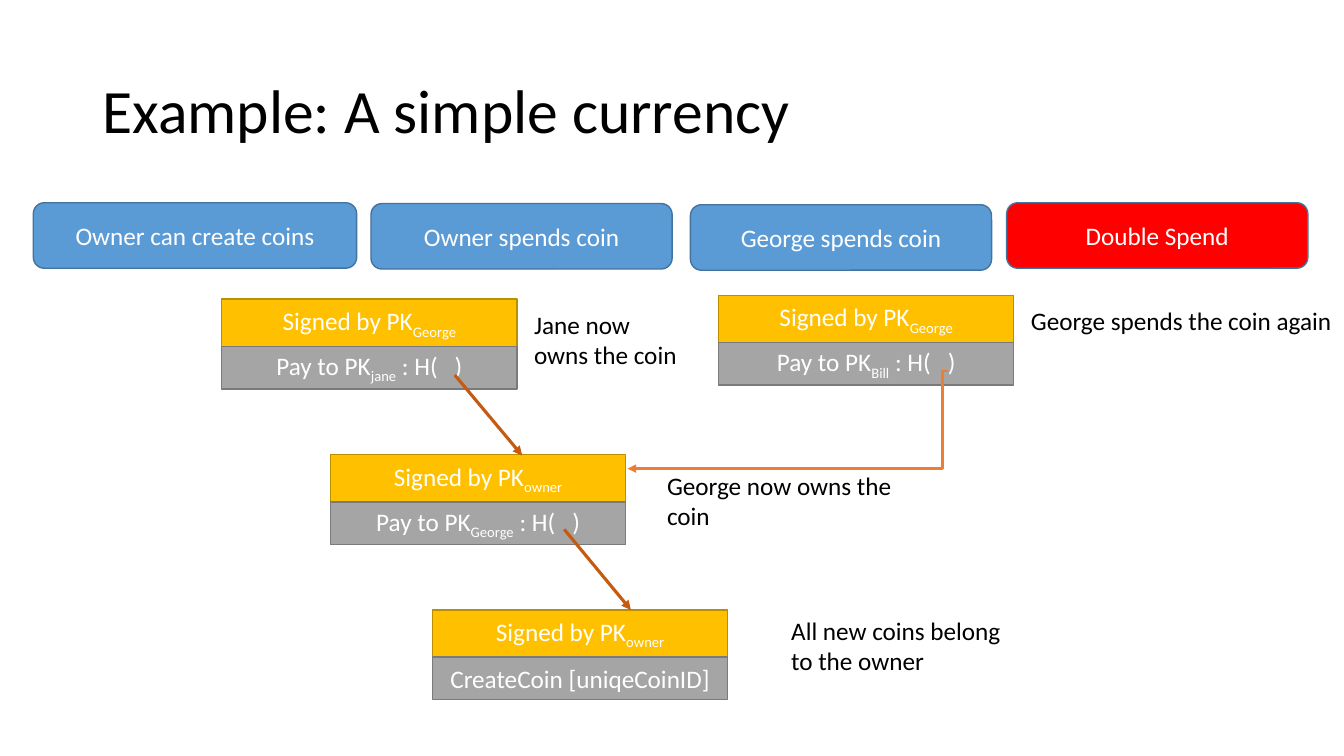
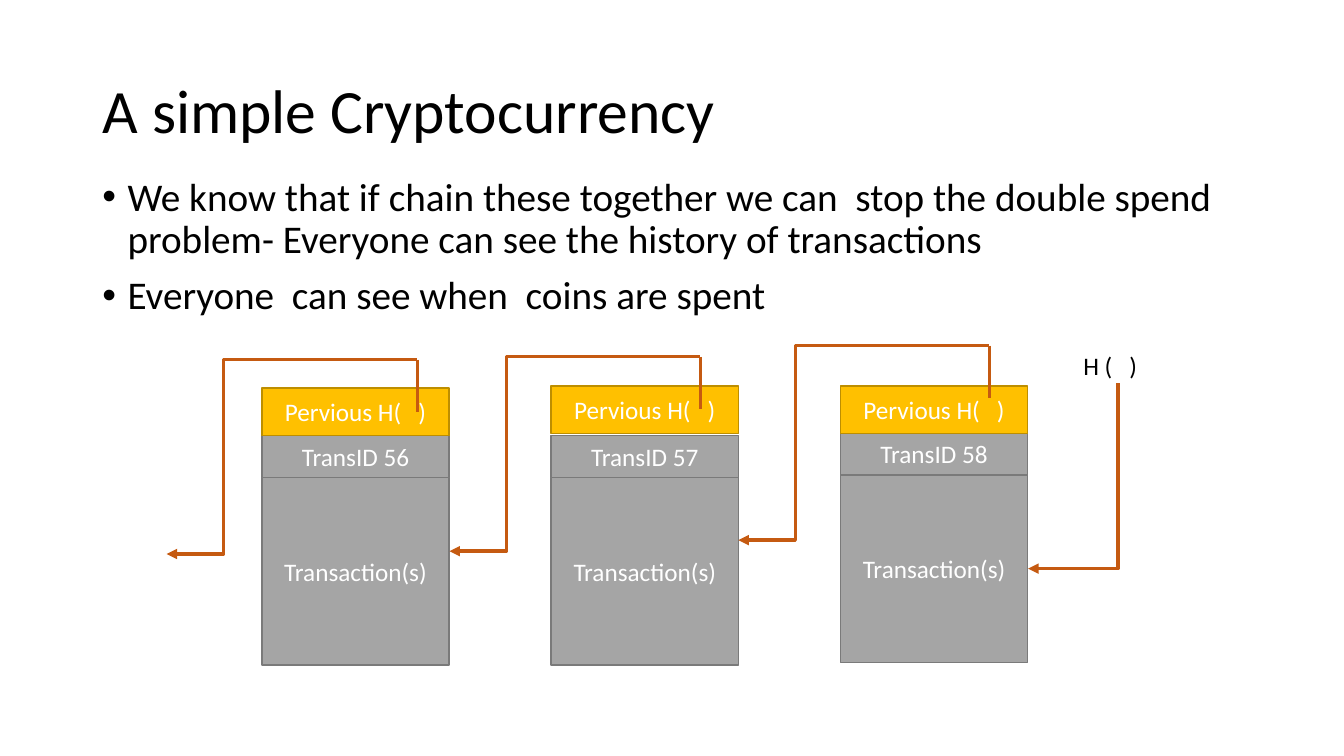
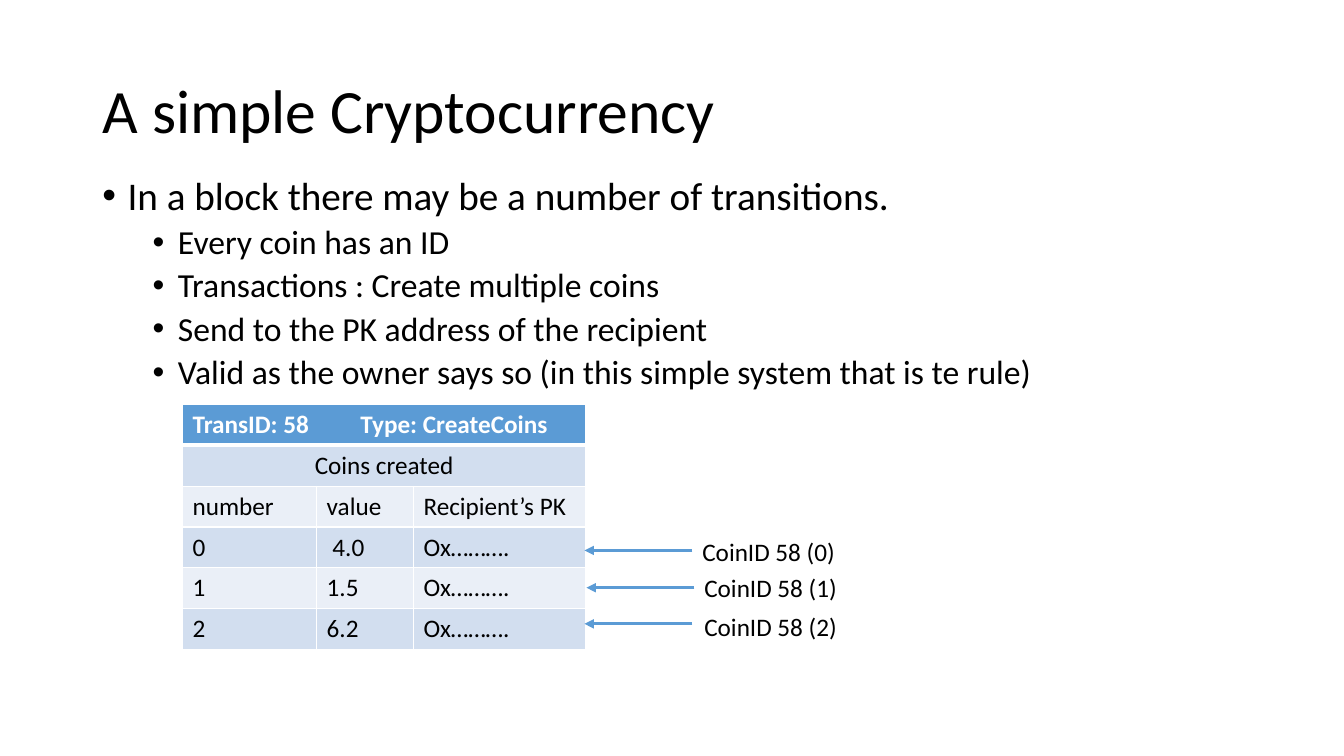
from dataclasses import dataclass

from lxml.etree import SubElement
from pptx import Presentation
from pptx.dml.color import RGBColor
from pptx.enum.shapes import MSO_CONNECTOR, MSO_SHAPE
from pptx.enum.text import MSO_ANCHOR, MSO_AUTO_SIZE, PP_ALIGN
from pptx.oxml.ns import qn
from pptx.util import Cm, Pt


@dataclass(frozen=True)
class Theme:
    font: str = "Calibri"
    title_size: int = 44
    bullet_sizes: tuple = (28, 24)
    text_size: int = 18
    black: str = "000000"
    white: str = "FFFFFF"
    blue: str = "5B9BD5"
    blue_edge: str = "43739E"
    red: str = "FF0000"
    gold: str = "FFC000"
    gold_edge: str = "BD8E00"
    grey: str = "A5A5A5"
    grey_edge: str = "7A7A7A"
    rust: str = "C55A11"
    orange: str = "ED7D31"
    row_dark: str = "D2DEEF"
    row_light: str = "EAEFF7"


theme = Theme()


def write(paragraph, text, size=theme.text_size, colour=theme.black, bold=False):
    """Add text run by run; a part between underscores becomes a subscript."""
    for index, part in enumerate(text.split("_")):
        if not part:
            continue
        run = paragraph.add_run()
        run.text = part
        run.font.name = theme.font
        run.font.size = Pt(size)
        run.font.bold = bold
        run.font.color.rgb = RGBColor.from_string(colour)
        if index % 2:
            run._r.get_or_add_rPr().set("baseline", "-25000")


def add_line(slide, start, end, colour, width, arrow="tailEnd", bend=None):
    """Draw a line; bend is the elbow's share of the width, or "corner"."""
    kind = MSO_CONNECTOR.STRAIGHT if bend is None else MSO_CONNECTOR.ELBOW
    connector = slide.shapes.add_connector(kind, *map(Cm, start + end))
    connector.line.color.rgb = RGBColor.from_string(colour)
    connector.line.width = Pt(width)
    properties = connector._element.spPr
    geometry = properties.find(qn("a:prstGeom"))
    if bend == "corner":
        geometry.set("prst", "bentConnector2")
    elif bend is not None:
        guide = SubElement(geometry.find(qn("a:avLst")), qn("a:gd"))
        guide.set("name", "adj1")
        guide.set("fmla", f"val {round(bend * 100000)}")
    if arrow:
        SubElement(properties.find(qn("a:ln")), qn(f"a:{arrow}")).set("type", "triangle")
    SubElement(properties, qn("a:effectLst"))


presentation = Presentation()
presentation.slide_width = Cm(33.87)
presentation.slide_height = Cm(19.05)

# Slides and titles
slides = []
for title_text in ("Example: A simple currency", "A simple Cryptocurrency", "A simple Cryptocurrency"):
    slide = presentation.slides.add_slide(presentation.slide_layouts[5])
    title = slide.shapes.title
    title.left, title.top, title.width, title.height = map(Cm, (2.33, 1.02, 29.21, 3.68))
    title.text_frame.auto_size = MSO_AUTO_SIZE.NONE
    title.text_frame.vertical_anchor = MSO_ANCHOR.MIDDLE
    paragraph = title.text_frame.paragraphs[0]
    paragraph.alignment = PP_ALIGN.LEFT
    paragraph.line_spacing = 0.9
    write(paragraph, title_text, theme.title_size)
    slides.append(slide)
currency_slide, chain_slide, block_slide = slides

# Bulleted text: level and wording
bullet_lists = [
    (chain_slide, (2.33, 4.34, 29.21, 4.14), [
        (0, "We know that if chain these together we can  stop the double spend problem- "
            "Everyone can see the history of transactions"),
        (0, "Everyone  can see when  coins are spent"),
    ]),
    (block_slide, (2.33, 4.32, 27.18, 12.85), [
        (0, "In a block there may be a number of transitions."),
        (1, "Every coin has an ID"),
        (1, "Transactions : Create multiple coins"),
        (1, "Send to the PK address of the recipient"),
        (1, "Valid as the owner says so (in this simple system that is te rule)"),
    ]),
]
for slide, area, bullets in bullet_lists:
    text_frame = slide.shapes.add_textbox(*map(Cm, area)).text_frame
    text_frame.word_wrap = True
    for index, (level, text) in enumerate(bullets):
        paragraph = text_frame.add_paragraph() if index else text_frame.paragraphs[0]
        paragraph.level = level
        paragraph.line_spacing = 0.9
        paragraph.space_before = Pt((10, 5)[level])
        write(paragraph, text, theme.bullet_sizes[level])
        properties = paragraph._p.get_or_add_pPr()
        properties.set("marL", str(Pt((18, 54)[level])))
        properties.set("indent", str(Pt(-18)))
        SubElement(properties, qn("a:buFont")).set("typeface", "Arial")
        SubElement(properties, qn("a:buChar")).set("char", "•")

# Boxes: slide, preset, area, fill, edge, text
boxes = []
steps = [
    ((0.84, 5.11, 8.15, 1.65), theme.blue, "Owner can create coins"),
    ((9.35, 5.13, 7.59, 1.65), theme.blue, "Owner spends coin"),
    ((17.4, 5.16, 7.59, 1.65), theme.blue, "George spends coin"),
    ((25.37, 5.11, 7.59, 1.65), theme.red, "Double Spend"),
]
for area, fill, text in steps:
    boxes.append((currency_slide, MSO_SHAPE.ROUNDED_RECTANGLE, area, fill, theme.blue_edge, text))

head_height, row_height = 1.19, 1.07
transactions = [
    (10.9, 15.37, "owner", "CreateCoin [uniqeCoinID]"),
    (8.33, 11.46, "owner", "Pay to PK_George_ : H(   )"),
    (5.59, 7.54, "George", "Pay to PK_jane_ : H(   )"),
    (18.11, 7.44, "George", "Pay to PK_Bill_ : H(   )"),
]
for left, top, signer, action in transactions:
    boxes.append((currency_slide, MSO_SHAPE.RECTANGLE, (left, top, 7.44, head_height),
                  theme.gold, theme.gold_edge, f"Signed by PK_{signer}_"))
    boxes.append((currency_slide, MSO_SHAPE.RECTANGLE, (left, top + head_height, 7.44, row_height),
                  theme.grey, theme.grey_edge, action))

block_width = 4.72
for index, (head_top, id_top) in enumerate([(9.78, 10.97), (9.73, 10.97), (9.73, 10.9)]):
    left = 6.6 + 7.29 * index
    parts = [
        (id_top, row_height, theme.grey, theme.grey_edge, f"TransID {56 + index}"),
        (head_top, head_height, theme.gold, theme.gold_edge, "Pervious H(   )"),
        (id_top + row_height, block_width, theme.grey, theme.grey_edge, "Transaction(s)"),
    ]
    for top, height, fill, edge, text in parts:
        boxes.append((chain_slide, MSO_SHAPE.RECTANGLE, (left, top, block_width, height), fill, edge, text))

for slide, preset, area, fill, edge, text in boxes:
    shape = slide.shapes.add_shape(preset, *map(Cm, area))
    shape.shadow.inherit = False
    shape.fill.solid()
    shape.fill.fore_color.rgb = RGBColor.from_string(fill)
    shape.line.color.rgb = RGBColor.from_string(edge)
    shape.line.width = Pt(1)
    shape.text_frame.vertical_anchor = MSO_ANCHOR.MIDDLE
    paragraph = shape.text_frame.paragraphs[0]
    paragraph.alignment = PP_ALIGN.CENTER
    write(paragraph, text, colour=theme.white)

# Plain labels: slide, area, wrapping, text
labels = [
    (currency_slide, (19.69, 15.37, 6.27, 1.8), True, "All new coins belong to the owner"),
    (currency_slide, (16.56, 11.73, 6.27, 1.8), True, "George now owns the coin"),
    (currency_slide, (13.21, 7.67, 4.22, 1.8), True, "Jane now owns the coin"),
    (currency_slide, (25.73, 7.57, 8.18, 1.02), False, "George spends the coin again"),
    (chain_slide, (27.05, 8.71, 2.18, 1.02), True, "H (   )"),
]
for index, (left, top) in enumerate([(17.45, 13.39), (17.5, 14.3), (17.5, 15.27)]):
    labels.append((block_slide, (left, top, 4.06, 1.02), True, f"CoinID 58 ({index})"))
for slide, area, wraps, text in labels:
    text_frame = slide.shapes.add_textbox(*map(Cm, area)).text_frame
    text_frame.word_wrap = wraps
    write(text_frame.paragraphs[0], text)

# Hash pointers between transactions
add_line(currency_slide, (14.22, 13.34), (15.9, 15.37), theme.rust, 2.25)
add_line(currency_slide, (11.46, 9.45), (13.16, 11.48), theme.rust, 2.25)
add_line(currency_slide, (23.88, 9.35), (15.82, 11.81), theme.orange, 2, bend=0.015)

# Hash pointers between blocks
for left, top in [(10.52, 9.06), (17.65, 8.99), (24.93, 8.71)]:
    add_line(chain_slide, (left, top), (left - 6.32, top + 4.9), theme.rust, 2.5, bend=0.773)
    add_line(chain_slide, (left, top), (left, top + 1.32), theme.rust, 2.5, arrow=None)
add_line(chain_slide, (25.91, 14.33), (28.17, 9.65), theme.rust, 2.5, arrow="headEnd", bend="corner")

# Coin table
rows = [
    ("TransID: 58\tType: CreateCoins",),
    ("Coins created",),
    ("number", "value", "Recipient’s PK"),
    ("0", " 4.0", "Ox………."),
    ("1", "1.5", "Ox………."),
    ("2", "6.2", "Ox………."),
]
column_widths = (3.38, 2.44, 4.34)
coin_table = block_slide.shapes.add_table(
    len(rows), len(column_widths), *map(Cm, (4.6, 10.19, sum(column_widths), 1.03 * len(rows)))).table
for column, width in zip(coin_table.columns, column_widths):
    column.width = Cm(width)
for row_index, texts in enumerate(rows):
    is_header = row_index == 0
    row_fill = theme.blue if is_header else (theme.row_light, theme.row_dark)[row_index % 2]
    for column_index in range(len(column_widths)):
        cell = coin_table.cell(row_index, column_index)
        cell_properties = cell._tc.get_or_add_tcPr()
        for side in ("lnL", "lnR", "lnT", "lnB"):
            under_header = (row_index, side) in ((0, "lnB"), (1, "lnT"))
            border = SubElement(cell_properties, qn(f"a:{side}"))
            border.set("w", str(Pt(3 if under_header else 1)))
            SubElement(SubElement(border, qn("a:solidFill")), qn("a:srgbClr")).set("val", theme.white)
        cell.fill.solid()
        cell.fill.fore_color.rgb = RGBColor.from_string(row_fill)
        if column_index < len(texts):
            write(cell.text_frame.paragraphs[0], texts[column_index],
                  colour=theme.white if is_header else theme.black, bold=is_header)
    if len(texts) == 1:
        coin_table.cell(row_index, 0).merge(coin_table.cell(row_index, len(column_widths) - 1))
coin_table.cell(1, 0).text_frame.paragraphs[0].alignment = PP_ALIGN.CENTER
header_properties = coin_table.cell(0, 0).text_frame.paragraphs[0]._p.get_or_add_pPr()
tab_stop = SubElement(SubElement(header_properties, qn("a:tabLst")), qn("a:tab"))
tab_stop.set("pos", str(Cm(4.23)))
tab_stop.set("algn", "l")

# Coin pointers
for left, top in [(17.45, 13.87), (17.5, 14.81), (17.45, 15.72)]:
    add_line(block_slide, (left, top), (left - 2.72, top), theme.blue, 2.25)

presentation.save("out.pptx")
